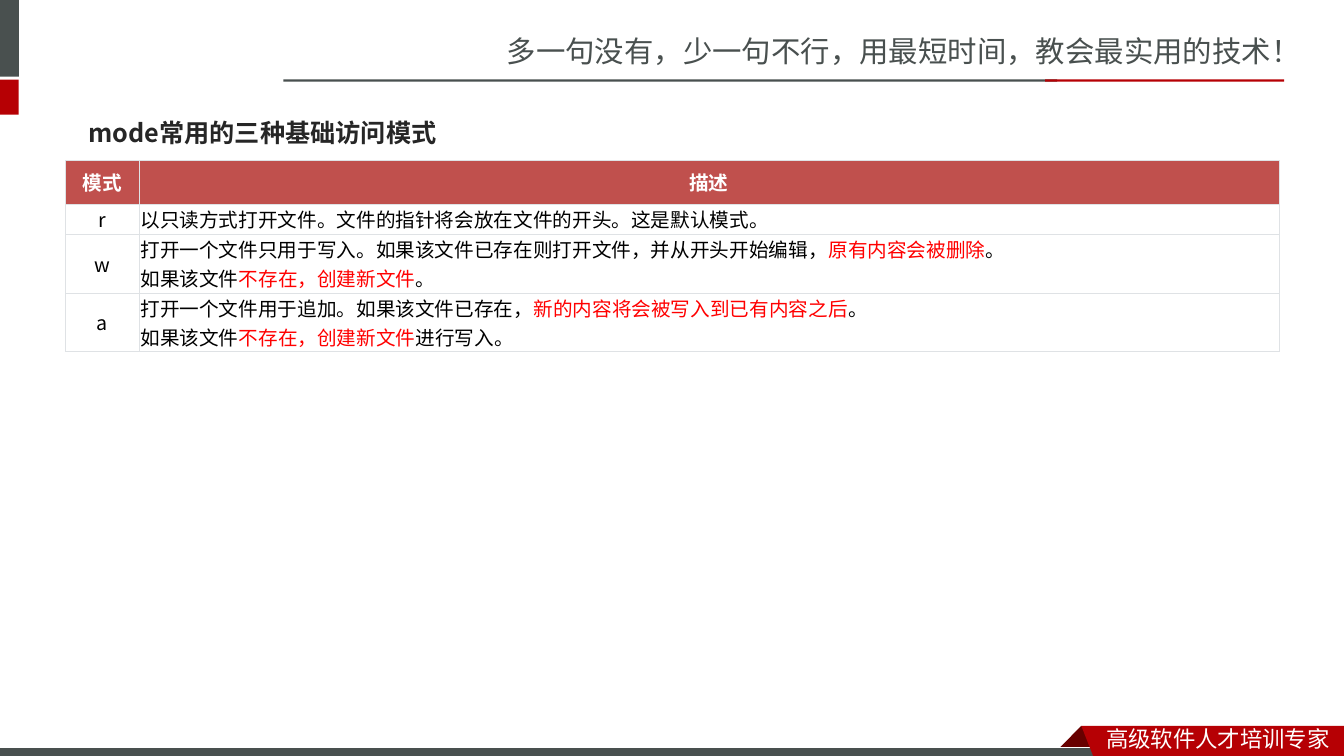
from dataclasses import dataclass

from lxml.etree import SubElement
from pptx import Presentation
from pptx.dml.color import RGBColor
from pptx.enum.shapes import MSO_SHAPE
from pptx.enum.text import MSO_ANCHOR, PP_ALIGN
from pptx.oxml import parse_xml
from pptx.oxml.ns import nsdecls, qn
from pptx.util import Cm, Pt


@dataclass(frozen=True)
class Theme:
    slate: str = "49504F"
    red: str = "B60004"
    dark_red: str = "680000"
    white: str = "FFFFFF"
    heading: str = "262626"
    table_header: str = "C0504D"
    table_border: str = "DFE2E5"
    body: str = "000000"
    highlight: str = "FF0000"
    frame_font: str = "Noto Sans CJK SC"
    content_font: str = "Noto Sans CJK JP"
    slogan_size: int = 21
    heading_size: int = 18
    footer_size: int = 16
    table_size: int = 14


THEME = Theme()

# Each description is a list of lines; each line is a list of (text, highlighted).
MODES = [
    ("r", [[("以只读方式打开文件。文件的指针将会放在文件的开头。这是默认模式。", False)]]),
    ("w", [
        [("打开一个文件只用于写入。如果该文件已存在则打开文件，并从开头开始编辑，", False),
         ("原有内容会被删除", True), ("。", False)],
        [("如果该文件", False), ("不存在，创建新文件", True), ("。", False)],
    ]),
    ("a", [
        [("打开一个文件用于追加。如果该文件已存在，", False),
         ("新的内容将会被写入到已有内容之后", True), ("。", False)],
        [("如果该文件", False), ("不存在，创建新文件", True), ("进行写入。", False)],
    ]),
]


def add_run(paragraph, text, size, color, font=THEME.content_font, bold=False):
    run = paragraph.add_run()
    run.text = text
    run.font.size = Pt(size)
    run.font.bold = bold
    run.font.color.rgb = RGBColor.from_string(color)
    run.font.name = font
    SubElement(run.font._element, qn("a:ea"), typeface=font)


def add_label(slide, left, top, width, height, text, size, color,
              font=THEME.frame_font, bold=False, anchor=MSO_ANCHOR.TOP):
    label = slide.shapes.add_textbox(Cm(left), Cm(top), Cm(width), Cm(height))
    frame = label.text_frame
    frame.word_wrap = True
    frame.vertical_anchor = anchor
    add_run(frame.paragraphs[0], text, size, color, font, bold)


def paint(shape, color, outline=None):
    shape.shadow.inherit = False
    shape.fill.solid()
    shape.fill.fore_color.rgb = RGBColor.from_string(color)
    if outline:
        shape.line.color.rgb = RGBColor.from_string(outline)
        shape.line.width = Pt(0.75)
    else:
        shape.line.fill.background()


def add_bar(slide, left, top, width, height, color, outline=None):
    bar = slide.shapes.add_shape(
        MSO_SHAPE.RECTANGLE, Cm(left), Cm(top), Cm(width), Cm(height))
    paint(bar, color, outline)


def add_polygon(slide, points, color):
    start, *rest = [(Cm(x), Cm(y)) for x, y in points]
    builder = slide.shapes.build_freeform(*start)
    builder.add_line_segments(rest, close=True)
    paint(builder.convert_to_shape(), color)


def add_borders(cell):
    properties = cell._tc.get_or_add_tcPr()
    for index, side in enumerate(("lnL", "lnR", "lnT", "lnB")):
        properties.insert(index, parse_xml(
            f'<a:{side} {nsdecls("a")} w="{Pt(0.6)}"><a:solidFill>'
            f'<a:srgbClr val="{THEME.table_border}"/></a:solidFill></a:{side}>'))


def fill_cell(cell, lines, centred=False, header=False):
    cell.margin_left = cell.margin_right = Cm(0.04)
    cell.margin_top = cell.margin_bottom = Cm(0.02)
    cell.vertical_anchor = MSO_ANCHOR.MIDDLE
    if header:
        cell.fill.solid()
        cell.fill.fore_color.rgb = RGBColor.from_string(THEME.table_header)
    else:
        cell.fill.background()
    add_borders(cell)
    frame = cell.text_frame
    for index, line in enumerate(lines):
        paragraph = frame.add_paragraph() if index else frame.paragraphs[0]
        paragraph.alignment = PP_ALIGN.CENTER if centred else PP_ALIGN.LEFT
        for text, highlighted in line:
            plain = THEME.white if header else THEME.body
            add_run(paragraph, text, THEME.table_size,
                    THEME.highlight if highlighted else plain, bold=header)


def add_mode_table(slide):
    widths, heights = (1.85, 28.73), (1.09, 0.76, 1.48, 1.48)
    table = slide.shapes.add_table(
        len(heights), len(widths), Cm(1.65), Cm(4.05),
        Cm(sum(widths)), Cm(sum(heights))).table
    table.horz_banding = False
    for column, width in zip(table.columns, widths):
        column.width = Cm(width)
    for row, height in zip(table.rows, heights):
        row.height = Cm(height)
    for column, title in enumerate(("模式", "描述")):
        fill_cell(table.cell(0, column), [[(title, False)]], centred=True, header=True)
    for row, (mode, description) in enumerate(MODES, start=1):
        fill_cell(table.cell(row, 0), [[(mode, False)]], centred=True)
        fill_cell(table.cell(row, 1), description)


def add_header(slide):
    add_label(slide, 12.52, 0.71, 21.35, 1.19,
              "多一句没有，少一句不行，用最短时间，教会最实用的技术！",
              THEME.slogan_size, THEME.slate)
    add_bar(slide, -0.15, 0, 0.63, 1.93, THEME.slate)
    add_bar(slide, -0.15, 2.01, 0.62, 0.88, THEME.red)
    add_bar(slide, 7.14, 2, 19.5, 0.06, THEME.slate)
    add_bar(slide, 26.34, 2, 6.02, 0.06, THEME.red)


def add_footer(slide):
    add_polygon(slide, [(27.25, 18.29), (27.81, 18.85), (27.79, 18.87),
                        (26.72, 18.87), (26.7, 18.85)], THEME.dark_red)
    add_bar(slide, -0.03, 18.83, 27.94, 0.3, THEME.slate, outline=THEME.white)
    add_polygon(slide, [(27.25, 18.29), (33.87, 18.29), (33.87, 19.15),
                        (27.58, 19.13)], THEME.red)
    add_label(slide, 27.63, 18.16, 6.23, 0.94, "高级软件人才培训专家",
              THEME.footer_size, THEME.white)


def main():
    presentation = Presentation()
    presentation.slide_width = Cm(33.87)
    presentation.slide_height = Cm(19.05)
    slide = presentation.slides.add_slide(presentation.slide_layouts[6])
    add_header(slide)
    add_footer(slide)
    add_label(slide, 1.98, 2.62, 29.87, 1.45, "mode常用的三种基础访问模式",
              THEME.heading_size, THEME.heading, THEME.content_font,
              bold=True, anchor=MSO_ANCHOR.MIDDLE)
    add_mode_table(slide)
    presentation.save("out.pptx")


if __name__ == "__main__":
    main()
